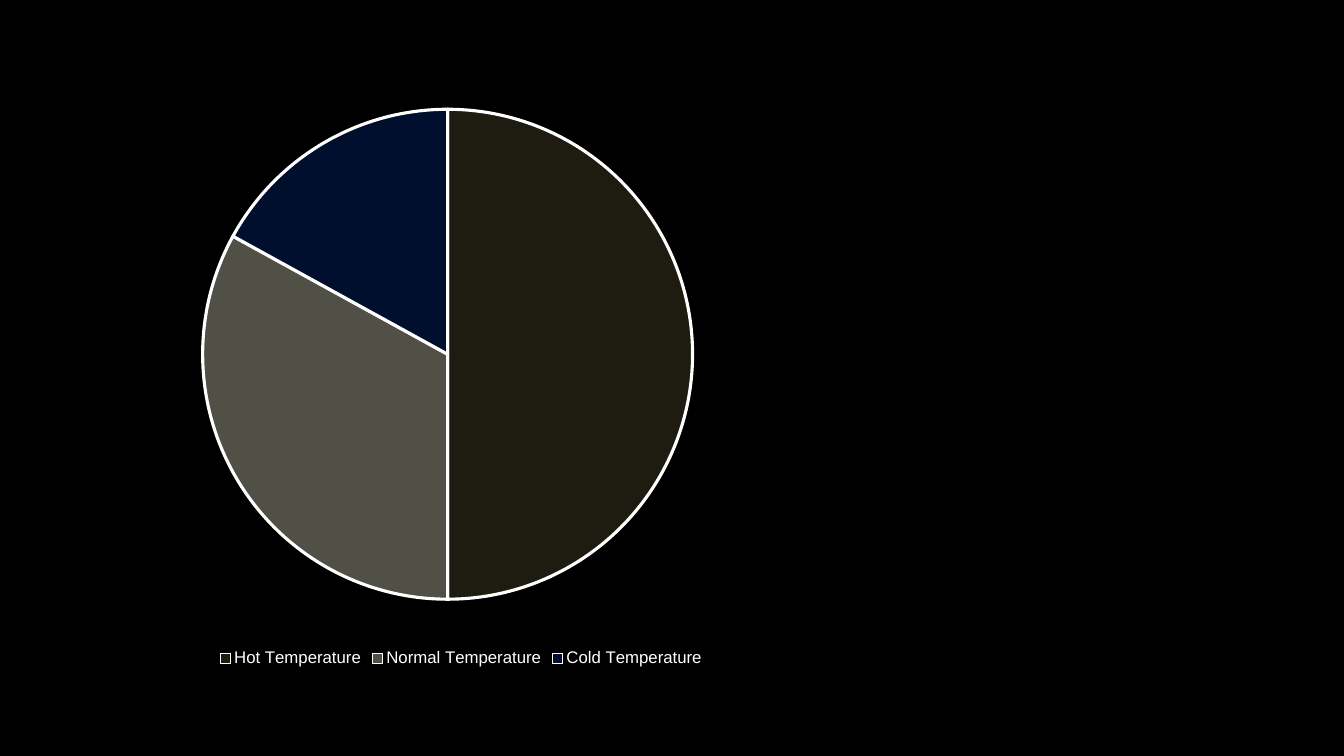
from lxml import etree
from pptx import Presentation
from pptx.chart.data import CategoryChartData
from pptx.dml.color import RGBColor
from pptx.enum.chart import XL_CHART_TYPE, XL_LEGEND_POSITION
from pptx.oxml.ns import qn
from pptx.util import Cm, Pt

PIE = XL_CHART_TYPE.PIE
LEGEND_BOTTOM = XL_LEGEND_POSITION.BOTTOM
FONT = "Arial"
COLORS = {
    "background": "000000",
    "text": "FFFFFF",
    "outline": "FFFFFF",
    "hot": "1E1C11",
    "normal": "505046",
    "cold": "000F2E",
}
TEMPERATURES = [
    ("Hot Temperature", 50, "hot"),
    ("Normal Temperature", 33, "normal"),
    ("Cold Temperature", 17, "cold"),
]


def color(name):
    return RGBColor.from_string(COLORS[name])


def style_font(font, size):
    font.name = FONT
    font.size = Pt(size)
    font.color.rgb = color("text")


def set_plot_layout(chart, x, y, width, height):
    """Fix the inner plot area, in fractions of the chart's box."""
    plot_area = chart.plots[0]._element.getparent()
    for old_layout in plot_area.findall(qn("c:layout")):
        plot_area.remove(old_layout)
    layout = etree.Element(qn("c:layout"))
    manual = etree.SubElement(layout, qn("c:manualLayout"))
    settings = [("layoutTarget", "inner"), ("xMode", "edge"), ("yMode", "edge"),
                ("x", x), ("y", y), ("w", width), ("h", height)]
    for tag, value in settings:
        etree.SubElement(manual, qn(f"c:{tag}")).set("val", str(value))
    plot_area.insert(0, layout)


def add_temperature_pie(slide, left, top, width, height):
    data = CategoryChartData()
    data.categories = [label for label, _, _ in TEMPERATURES]
    data.add_series("Series 1", [share for _, share, _ in TEMPERATURES])
    chart = slide.shapes.add_chart(PIE, left, top, width, height, data).chart
    style_font(chart.font, 10)
    chart.has_title = False
    chart.has_legend = True
    chart.legend.position = LEGEND_BOTTOM
    chart.legend.include_in_layout = False
    style_font(chart.legend.font, 12)

    plot = chart.plots[0]
    plot.vary_by_categories = True
    for index, (_, _, color_name) in enumerate(TEMPERATURES):
        slice_format = plot.series[0].points[index].format
        slice_format.fill.solid()
        slice_format.fill.fore_color.rgb = color(color_name)
        slice_format.line.color.rgb = color("outline")
        slice_format.line.width = Pt(2.25)
    set_plot_layout(chart, 0, 0.06, 0.97, 0.82)


def main():
    presentation = Presentation()
    presentation.slide_width = Cm(33.87)
    presentation.slide_height = Cm(19.05)
    slide = presentation.slides.add_slide(presentation.slide_layouts[6])
    slide.background.fill.solid()
    slide.background.fill.fore_color.rgb = color("background")
    add_temperature_pie(slide, Cm(0.33), Cm(1.85), Cm(22.58), Cm(15.06))
    presentation.save("out.pptx")


if __name__ == "__main__":
    main()
